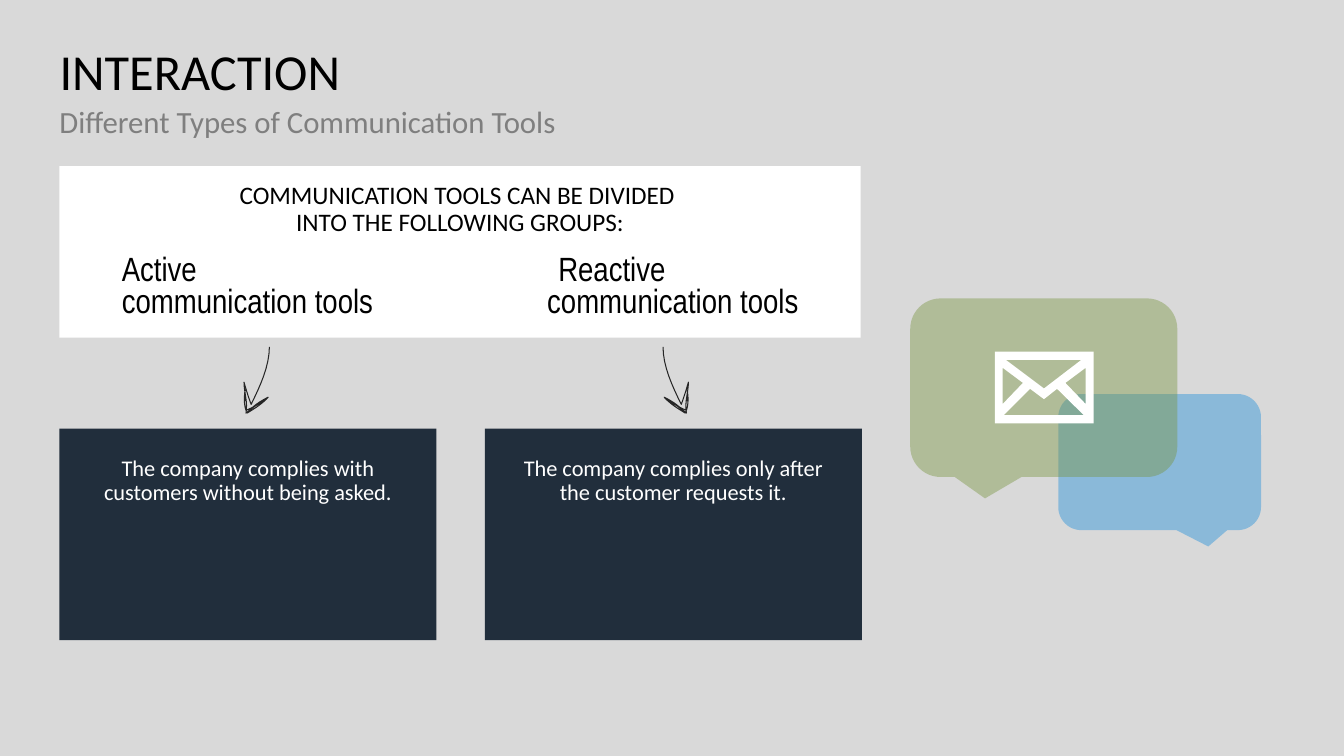
"""Build a slide on active and reactive communication tools."""
from dataclasses import dataclass

import lxml.etree
import pptx
import pptx.dml.color
import pptx.enum.shapes
import pptx.enum.text
import pptx.oxml.ns
import pptx.util

Cm = pptx.util.Cm
Shape = pptx.enum.shapes.MSO_SHAPE
Align = pptx.enum.text.PP_ALIGN


@dataclass(frozen=True)
class Theme:
    """Colours, fonts and type sizes of the slide."""
    back: str = "D9D9D9"
    white: str = "FFFFFF"
    black: str = "000000"
    grey: str = "7F7F7F"
    ink: str = "262626"
    navy: str = "212E3C"
    blue: str = "3498DB"
    green: str = "77933C"
    font: str = "Calibri"
    narrow: str = "Arial Narrow"
    title: int = 36
    subtitle: int = 22
    label: int = 24
    lead: int = 18
    body: int = 16


T = Theme()
LEFT = 1.5
COLUMNS = (LEFT, 12.22)
COLUMN_W = 9.5
MIRROR = 23.5
ARROW_START = (16.71, 8.74)
ARROW_CURVES = (
    ((16.71, 9.22), (16.94, 9.73), (17.17, 10.19)),
    ((17.25, 9.98), (17.3, 9.8), (17.35, 9.63)),
    ((17.35, 9.88), (17.25, 10.13), (17.3, 10.41)),
    ((17.12, 10.26), (16.92, 10.13), (16.74, 10.01)),
    ((16.87, 10.16), (17.07, 10.29), (17.27, 10.41)),
    ((17.14, 10.24), (16.94, 10.11), (16.74, 10.01)),
    ((16.89, 10.13), (17.09, 10.26), (17.3, 10.34)),
    ((17.35, 10.19), (17.35, 10.01), (17.32, 9.83)),
    ((17.35, 9.96), (17.32, 10.01), (17.32, 10.11)),
)
ENVELOPE_W, ENVELOPE_H = 2.49, 1.81
SIDE_FLAP = ((0.2, 1.32), (0.2, 0.41), (0.71, 0.79))
ENVELOPE = (
    ((0, 0), (ENVELOPE_W, 0), (ENVELOPE_W, ENVELOPE_H), (0, ENVELOPE_H)),
    ((0.89, 0.94), (0.23, 1.6), (2.24, 1.6), (1.57, 0.94), (1.24, 1.2)),
    ((0.28, 0.21), (1.24, 0.93), (2.18, 0.21)),
    SIDE_FLAP,
    tuple((ENVELOPE_W - x, y) for x, y in SIDE_FLAP),
)


def rgb(code):
    """Return the colour for a hex code."""
    return pptx.dml.color.RGBColor.from_string(code)


def apply(obj, values):
    """Set each named attribute of an object."""
    for name, value in values.items():
        setattr(obj, name, value)


def write(sp, lines, size, color, font=T.font, align=Align.LEFT,
          insets=(0, 0, 0, 0), spacing=0.9, after=0, indent=0):
    """Write one paragraph, broken into lines, in a shape."""
    tf = sp.text_frame
    sides = ("margin_left", "margin_top", "margin_right", "margin_bottom")
    apply(tf, {"word_wrap": True, "auto_size": pptx.enum.text.MSO_AUTO_SIZE.NONE,
               "vertical_anchor": pptx.enum.text.MSO_ANCHOR.TOP})
    apply(tf, {side: Cm(inset) for side, inset in zip(sides, insets)})
    p = tf.paragraphs[0]
    apply(p, {"alignment": align, "line_spacing": spacing,
              "space_after": pptx.util.Pt(after)})
    if indent:
        p._p.get_or_add_pPr().set("indent", str(Cm(indent)))
    for i, line in enumerate(lines):
        if i:
            p.add_line_break()
        r = p.add_run()
        r.text = line
        apply(r.font, {"name": font, "size": pptx.util.Pt(size)})
        r.font.color.rgb = rgb(color)


def add_text(s, box, lines, size, color, **fmt):
    """Add a text box."""
    write(s.shapes.add_textbox(*map(Cm, box)), lines, size, color, **fmt)


def paint(sp, color, alpha=100):
    """Give a shape a plain fill without line or shadow."""
    sp.shadow.inherit = False
    sp.fill.solid()
    sp.fill.fore_color.rgb = rgb(color)
    sp.line.fill.background()
    if alpha < 100:
        qn = pptx.oxml.ns.qn
        clr = next(sp._element.spPr.iter(qn("a:srgbClr")))
        lxml.etree.SubElement(clr, qn("a:alpha")).set("val", str(alpha * 1000))


def add_panel(s, box, fill, lines, size, color, **fmt):
    """Add a filled rectangle with centred text."""
    sp = s.shapes.add_shape(Shape.RECTANGLE, *map(Cm, box))
    paint(sp, fill)
    write(sp, lines, size, color, align=Align.CENTER, **fmt)


def add_callout(s, box, fill, alpha, tip):
    """Add a translucent speech bubble with its tip at the given offset."""
    sp = s.shapes.add_shape(Shape.ROUNDED_RECTANGULAR_CALLOUT, *map(Cm, box))
    paint(sp, fill, alpha)
    for i, value in enumerate((*tip, 0.17)):
        sp.adjustments[i] = value


def add_outline(s, contours, close):
    """Add a freeform made of one or more contours given in centimetres."""
    contours = [[(Cm(x), Cm(y)) for x, y in c] for c in contours]
    builder = s.shapes.build_freeform(*contours[0][0])
    for i, (start, *rest) in enumerate(contours):
        if i:
            builder.move_to(*start)
        builder.add_line_segments(rest, close=close)
    return builder.convert_to_shape()


def trace(start, curves, steps=8):
    """Return points along a chain of cubic curves."""
    points = [start]
    for a, b, c in curves:
        o = points[-1]
        for t in (n / steps for n in range(1, steps + 1)):
            u = 1 - t
            points.append(tuple(
                u**3 * o[k] + 3 * u * u * t * a[k] + 3 * u * t * t * b[k] + t**3 * c[k]
                for k in (0, 1)))
    return points


def add_arrow(s, mirrored):
    """Add a hand-drawn arrow, mirrored for the left column."""
    points = trace(ARROW_START, ARROW_CURVES)
    if mirrored:
        points = [(MIRROR - x, y) for x, y in points]
    sp = add_outline(s, [points], False)
    sp.shadow.inherit = False
    sp.fill.background()
    sp.line.color.rgb = rgb(T.ink)
    sp.line.width = pptx.util.Pt(0.75)


def add_envelope(s, x, y):
    """Add the white envelope icon."""
    paint(add_outline(s, [[(x + dx, y + dy) for dx, dy in c] for c in ENVELOPE], True),
          T.white)


def main():
    """Build and save the slide."""
    prs = pptx.Presentation()
    apply(prs, {"slide_width": Cm(33.87), "slide_height": Cm(19.05)})
    s = prs.slides.add_slide(prs.slide_layouts[5])
    s.background.fill.solid()
    s.background.fill.fore_color.rgb = rgb(T.back)

    title = s.shapes.title
    apply(title, {"left": Cm(LEFT), "top": Cm(1.19),
                  "width": Cm(20.17), "height": Cm(3)})
    write(title, ["INTERACTION"], T.title, T.black)
    add_text(s, (LEFT, 2.69, 20.17, 1.5), ["Different Types of Communication Tools"],
             T.subtitle, T.grey, after=10)
    add_panel(s, (LEFT, 4.19, 20.19, 4.32), T.white,
              ["COMMUNICATION TOOLS CAN BE DIVIDED ", "INTO THE FOLLOWING GROUPS:"],
              T.lead, T.black, insets=(0, 0.41, 0, 0))

    groups = (
        ("Active", 0, "The company complies with customers without being asked."),
        ("Reactive", 0.28, "The company complies only after the customer requests it."),
    )
    for x, (kind, indent, rule) in zip(COLUMNS, groups):
        add_text(s, (x, 5.74, COLUMN_W, 2.46), [kind, "communication tools"],
                 T.label, T.black, font=T.narrow, spacing=0.8, after=10,
                 insets=(1.57, 0.71, 0.41, 0.41), indent=indent)
        add_panel(s, (x, 10.8, COLUMN_W, 5.33), T.navy, [rule], T.body, T.white,
                  insets=(0.71,) * 4, after=6)
        add_arrow(s, mirrored=x == LEFT)

    add_callout(s, (26.67, 9.93, 5.11, 3.43), T.blue, 48, (0.24, 0.62))
    add_callout(s, (22.94, 7.52, 6.73, 4.5), T.green, 41, (-0.22, 0.62))
    add_envelope(s, 25.07, 8.86)
    prs.save("out.pptx")


if __name__ == "__main__":
    main()
